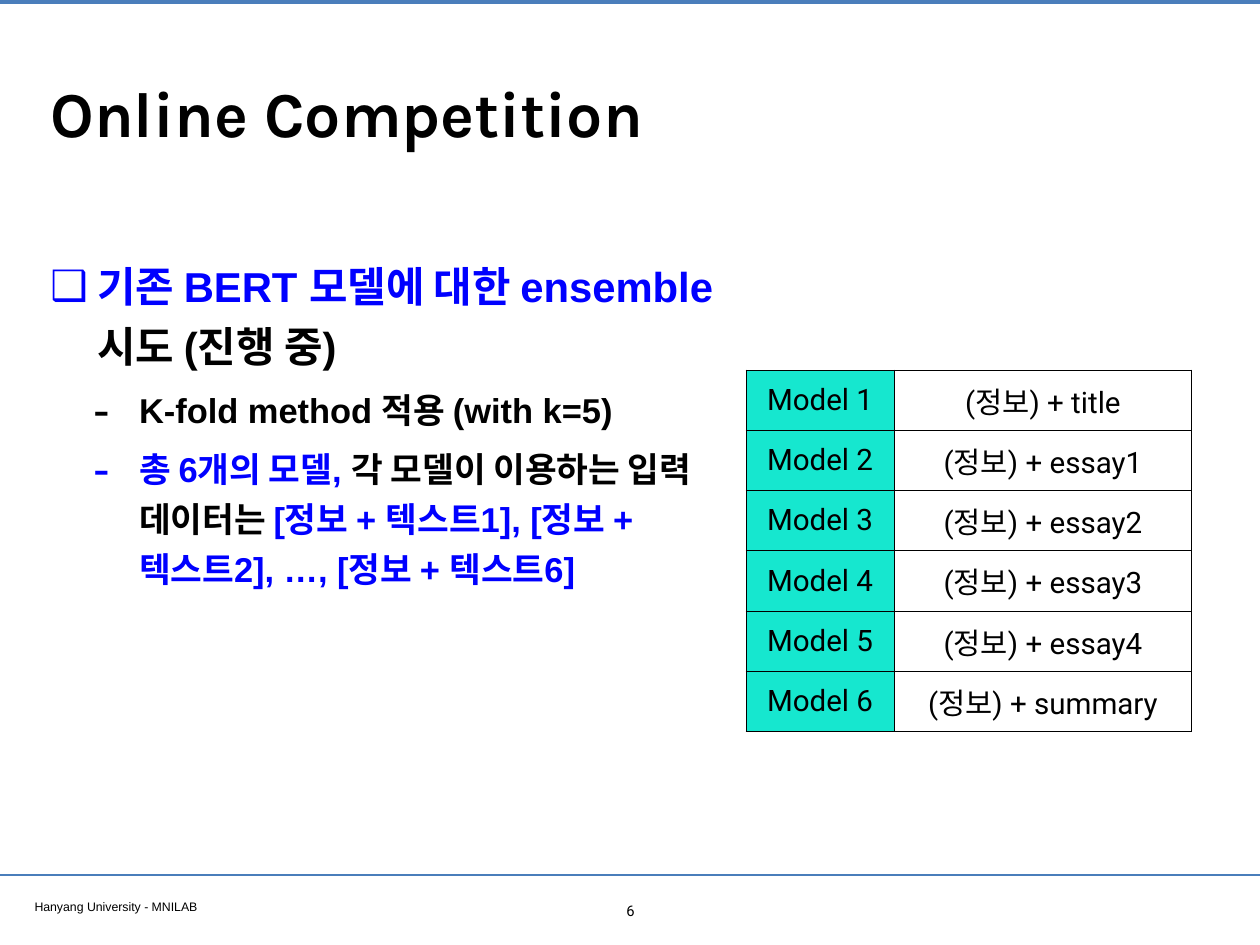
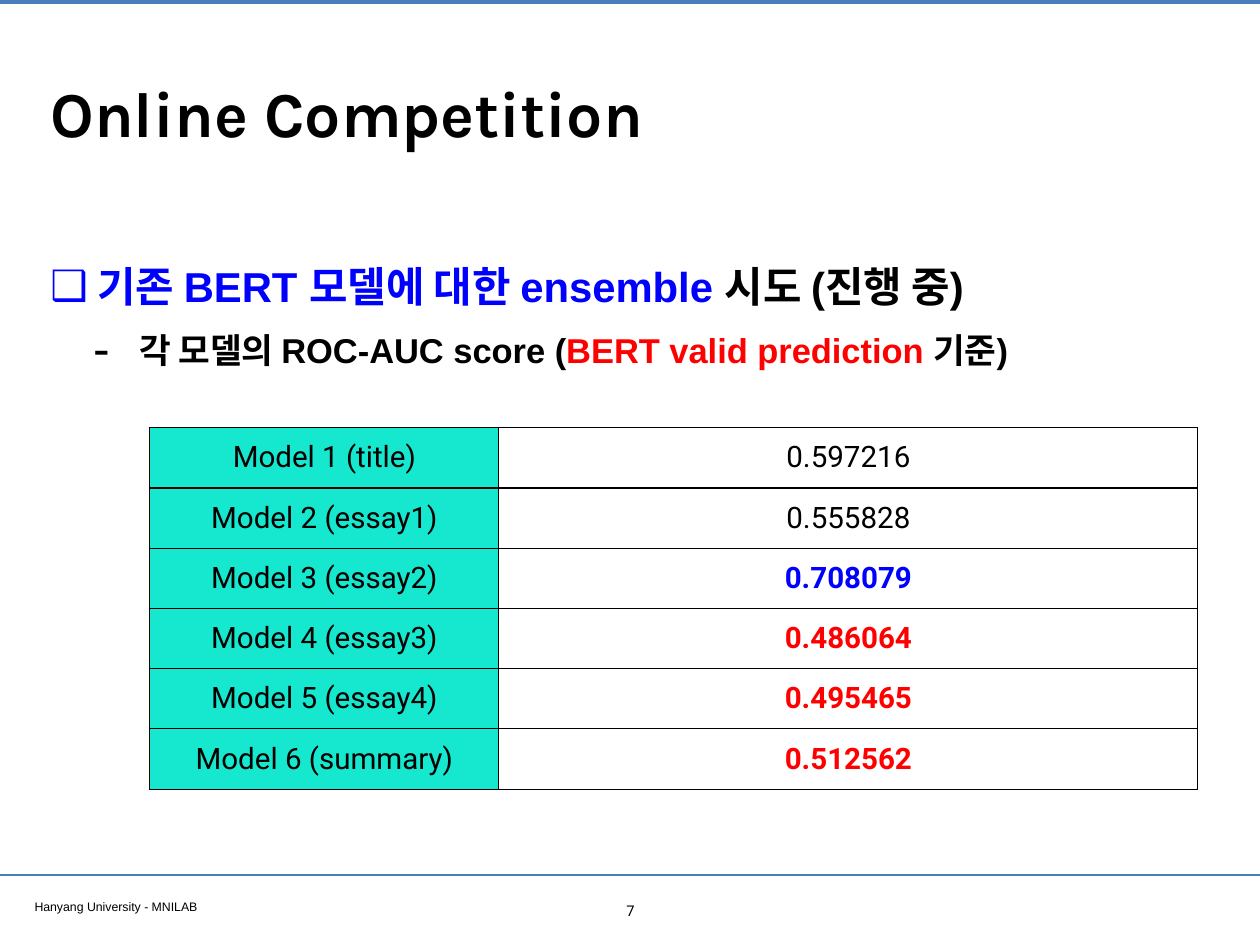
from lxml import etree
from pptx import Presentation
from pptx import util as u
from pptx.dml import color
from pptx.enum import shapes, text
from pptx.oxml import ns

COLORS = {
    "black": "000000",
    "blue": "0000FF",
    "red": "FF0000",
    "rule": "4A7EBB",
    "label": "16E7CF",
}
EMU_PER_PX = 9144
WIDTH, HEIGHT = 1422, 1067
ROW_HEIGHT = 68
HEADING = [("기존 BERT 모델에 대한 ensemble ", "blue"), ("시도 (진행 중)", "black")]
FIELDS = ["title", "essay1", "essay2", "essay3", "essay4", "summary"]
SCORES = [
    ("0.597216", "black"),
    ("0.555828", "black"),
    ("0.708079", "blue"),
    ("0.486064", "red"),
    ("0.495465", "red"),
    ("0.512562", "red"),
]


def px(length):
    return u.Emu(length * EMU_PER_PX)


def rgb(name):
    return color.RGBColor.from_string(COLORS[name])


def add_element(parent, tag, **attributes):
    return etree.SubElement(parent, ns.qn(tag), attributes)


def add_span(para, content, size, font="Arial", tint="black", bold=False):
    span = para.add_run()
    span.text = content
    span.font.size = u.Pt(size)
    span.font.name = font
    span.font.bold = bold
    span.font.color.rgb = rgb(tint)


def place(shape, left, top, width, height):
    shape.left, shape.top = px(left), px(top)
    shape.width, shape.height = px(width), px(height)


def format_frame(frame, auto_size=text.MSO_AUTO_SIZE.NONE, anchor=text.MSO_ANCHOR.TOP):
    frame.word_wrap = True
    frame.auto_size = auto_size
    frame.vertical_anchor = anchor
    frame.margin_left = frame.margin_right = px(6)
    frame.margin_top = frame.margin_bottom = px(6)


def add_label(page, content, bounds, size, font, align=text.PP_ALIGN.LEFT):
    box = page.shapes.add_textbox(*map(px, bounds))
    format_frame(box.text_frame, text.MSO_AUTO_SIZE.SHAPE_TO_FIT_TEXT)
    para = box.text_frame.paragraphs[0]
    para.alignment = align
    add_span(para, content, size, font)
    return box


def add_rule(page, top, weight):
    rule = page.shapes.add_connector(
        shapes.MSO_CONNECTOR.STRAIGHT, 0, px(top), px(WIDTH), px(top)
    )
    rule.line.color.rgb = rgb("rule")
    rule.line.width = u.Pt(weight)
    add_element(rule.element.spPr, "a:effectLst")
    return rule


def add_shared_parts(layout, page):
    parts = [
        add_rule(page, 2, 3.2),
        add_rule(page, 988, 2),
        add_label(page, "Hanyang University - MNILAB", (33, 1009, 546, 26), 10, "Arial"),
    ]
    for part in parts:
        layout.shapes.element.append(part.element)


def fill_title(page):
    title = page.shapes.title
    place(title, 51, 28, 1321, 197)
    format_frame(title.text_frame, anchor=text.MSO_ANCHOR.MIDDLE)
    para = title.text_frame.paragraphs[0]
    para.alignment = text.PP_ALIGN.LEFT
    add_span(para, "Online Competition", 52, "Karla", bold=True)


def format_bullet(para, level):
    properties = para._p.get_or_add_pPr()
    margin, hanging, symbol = [(53, 53, "❑"), (100, 52, "-")][level]
    properties.set("marL", str(px(margin)))
    properties.set("indent", str(px(-hanging)))
    if level:
        add_element(properties, "a:buSzPct", val="145000")
    add_element(properties, "a:buChar", char=symbol)


def fill_body(page, bounds, details):
    body = page.placeholders[1]
    place(body, *bounds)
    frame = body.text_frame
    format_frame(frame)
    for index, spans in enumerate([HEADING] + details):
        level = min(index, 1)
        para = frame.add_paragraph() if index else frame.paragraphs[0]
        para.level = level
        format_bullet(para, level)
        para.line_spacing = 1.2
        para.space_before = u.Pt(8 if index else 0)
        for content, tint in spans:
            add_span(para, content, 28 if level else 34, tint=tint, bold=True)


def add_borders(cell):
    properties = cell._tc.get_or_add_tcPr()
    for side in ("a:lnL", "a:lnR", "a:lnT", "a:lnB"):
        border = add_element(properties, side, w=str(u.Pt(1)))
        fill = add_element(border, "a:solidFill")
        add_element(fill, "a:srgbClr", val=COLORS["black"])


def fill_cell(cell, content, tint="black"):
    add_borders(cell)
    cell.vertical_anchor = text.MSO_ANCHOR.MIDDLE
    para = cell.text_frame.paragraphs[0]
    para.alignment = text.PP_ALIGN.CENTER
    add_span(para, content, 24, "Roboto", tint, bold=tint != "black")


def add_model_table(page, left, top, widths, rows):
    frame = page.shapes.add_table(
        len(rows), 2, px(left), px(top), px(sum(widths)), px(ROW_HEIGHT * len(rows))
    )
    table = frame.table
    table.first_row = table.horz_banding = False
    for column, width in zip(table.columns, widths):
        column.width = px(width)
    for index, (label, value, tint) in enumerate(rows):
        label_cell, value_cell = table.cell(index, 0), table.cell(index, 1)
        fill_cell(label_cell, label)
        label_cell.fill.solid()
        label_cell.fill.fore_color.rgb = rgb("label")
        fill_cell(value_cell, value, tint)
        value_cell.fill.background()


def add_page(deck, number, body_bounds, details):
    page = deck.slides.add_slide(deck.slide_layouts[1])
    fill_title(page)
    fill_body(page, body_bounds, details)
    add_label(page, str(number), (692, 1012, 39, 31), 12, "Roboto", text.PP_ALIGN.CENTER)
    return page


def main():
    deck = Presentation()
    deck.slide_width, deck.slide_height = px(WIDTH), px(HEIGHT)

    inputs_page = add_page(deck, 6, (51, 277, 770, 652), [
        [("K-fold method 적용 (with k=5)", "black")],
        [
            ("총 6개의 모델, ", "blue"),
            ("각 모델이 이용하는 입력 데이터는 ", "black"),
            ("[정보 + 텍스트1], [정보 + 텍스트2], …, [정보 + 텍스트6]", "blue"),
        ],
    ])
    add_shared_parts(deck.slide_layouts[1], inputs_page)
    add_model_table(inputs_page, 842, 418, (167, 336), [
        (f"Model {number}", f"(정보) + {field}", "black")
        for number, field in enumerate(FIELDS, 1)
    ])

    scores_page = add_page(deck, 7, (51, 277, 1294, 166), [
        [
            ("각 모델의 ROC-AUC score (", "black"),
            ("BERT valid prediction ", "red"),
            ("기준)", "black"),
        ],
    ])
    add_model_table(scores_page, 169, 483, (394, 789), [
        (f"Model {number} ({field})", score, tint)
        for number, (field, (score, tint)) in enumerate(zip(FIELDS, SCORES), 1)
    ])

    deck.save("out.pptx")


if __name__ == "__main__":
    main()
